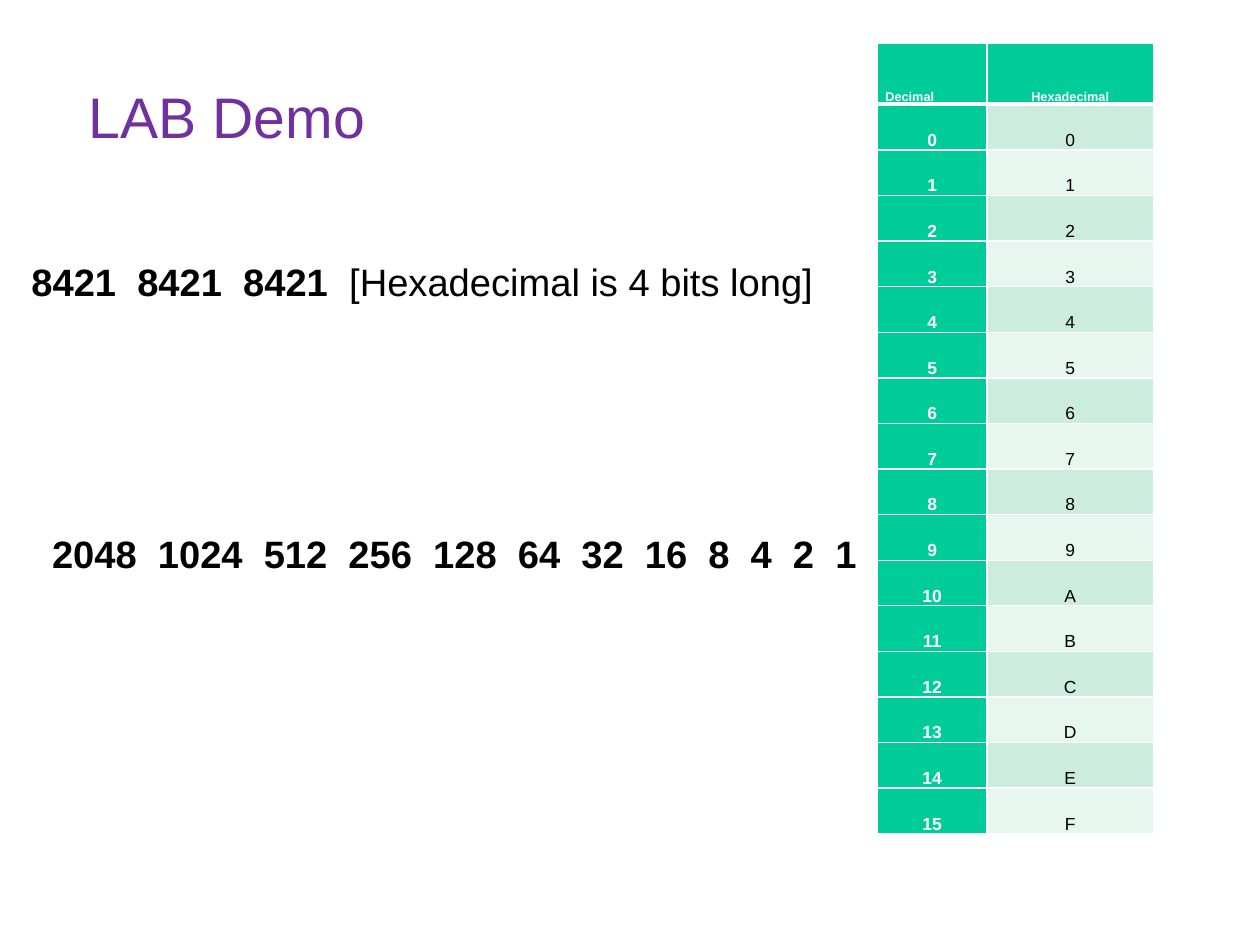
import pptx
import pptx.dml.color
import pptx.enum.text
import pptx.oxml
import pptx.oxml.ns
import pptx.util

Pt = pptx.util.Pt
PURPLE, GREEN, WHITE, BLACK = "7030A0", "00CC99", "FFFFFF", "000000"
BANDS = ("CCECDE", "E7F6EF")


def color(value):
    return pptx.dml.color.RGBColor.from_string(value)


class SlideBuilder:
    font_name = "Arial"
    line_spacing = 0.93

    def __init__(self, slide):
        self.slide = slide

    def paragraph(self, frame, runs, size, fill, centered=False):
        paragraph = frame.paragraphs[0]
        align = pptx.enum.text.PP_ALIGN
        paragraph.alignment = align.CENTER if centered else align.LEFT
        paragraph.line_spacing = self.line_spacing
        for text, bold in runs:
            run = paragraph.add_run()
            run.text = text
            run.font.name = self.font_name
            run.font.size = Pt(size)
            run.font.bold = bold
            run.font.color.rgb = color(fill)

    def text(self, left, top, width, height, runs, size, fill, one_line=False):
        box = self.slide.shapes.add_textbox(Pt(left), Pt(top), Pt(width), Pt(height))
        frame = box.text_frame
        frame.word_wrap = not one_line
        if one_line:
            frame.auto_size = pptx.enum.text.MSO_AUTO_SIZE.SHAPE_TO_FIT_TEXT
        self.paragraph(frame, runs, size, fill)

    def borders(self, cell, bottom):
        properties = cell._tc.get_or_add_tcPr()
        for side, width in (("L", 1), ("R", 1), ("T", 1), ("B", bottom)):
            properties.append(pptx.oxml.parse_xml(
                f'<a:ln{side} {pptx.oxml.ns.nsdecls("a")} w="{int(Pt(width))}">'
                f'<a:solidFill><a:srgbClr val="{WHITE}"/></a:solidFill></a:ln{side}>'
            ))

    def cell(self, cell, text, size, ink, fill, bold, centered, bottom=1):
        self.borders(cell, bottom)
        cell.fill.solid()
        cell.fill.fore_color.rgb = color(fill)
        cell.vertical_anchor = pptx.enum.text.MSO_ANCHOR.BOTTOM
        cell.margin_left = cell.margin_right = Pt(5)
        cell.margin_top = cell.margin_bottom = Pt(0)
        self.paragraph(cell.text_frame, [(text, bold)], size, ink, centered)

    def table(self, left, top, widths, heights, headings, rows):
        table = self.slide.shapes.add_table(
            len(heights), len(widths), Pt(left), Pt(top), Pt(sum(widths)), Pt(sum(heights))
        ).table
        for column, width in zip(table.columns, widths):
            column.width = Pt(width)
        for row, height in zip(table.rows, heights):
            row.height = Pt(height)
        for index, heading in enumerate(headings):
            self.cell(table.cell(0, index), heading, 8, WHITE, GREEN, True, index > 0, bottom=3)
        for index, (decimal, hexadecimal) in enumerate(rows):
            self.cell(table.cell(index + 1, 0), decimal, 11, WHITE, GREEN, True, True)
            self.cell(table.cell(index + 1, 1), hexadecimal, 11, BLACK, BANDS[index % 2],
                      False, True)


def main():
    deck = pptx.Presentation()
    deck.slide_width, deck.slide_height = Pt(793.75), Pt(595.25)
    demo = SlideBuilder(deck.slides.add_slide(deck.slide_layouts[6]))

    demo.text(48.75, 51.5, 636, 129, [("LAB Demo", False)], 36, PURPLE)
    demo.table(
        552.75, 27.5, [69, 105], [38.25] + [28.72] * 16, ["Decimal", "Hexadecimal"],
        [(str(number), f"{number:X}") for number in range(16)],
    )
    nibble_weights = [("8421  8421  8421 ", True), (" [Hexadecimal is 4 bits long]", False)]
    demo.text(12.75, 161.5, 512, 34.5, nibble_weights, 24, BLACK, one_line=True)
    bit_weights = "  ".join(str(2 ** power) for power in reversed(range(12)))
    demo.text(25.75, 333, 526.5, 34.5, [(bit_weights, True)], 24, BLACK, one_line=True)

    deck.save("out.pptx")


if __name__ == "__main__":
    main()
